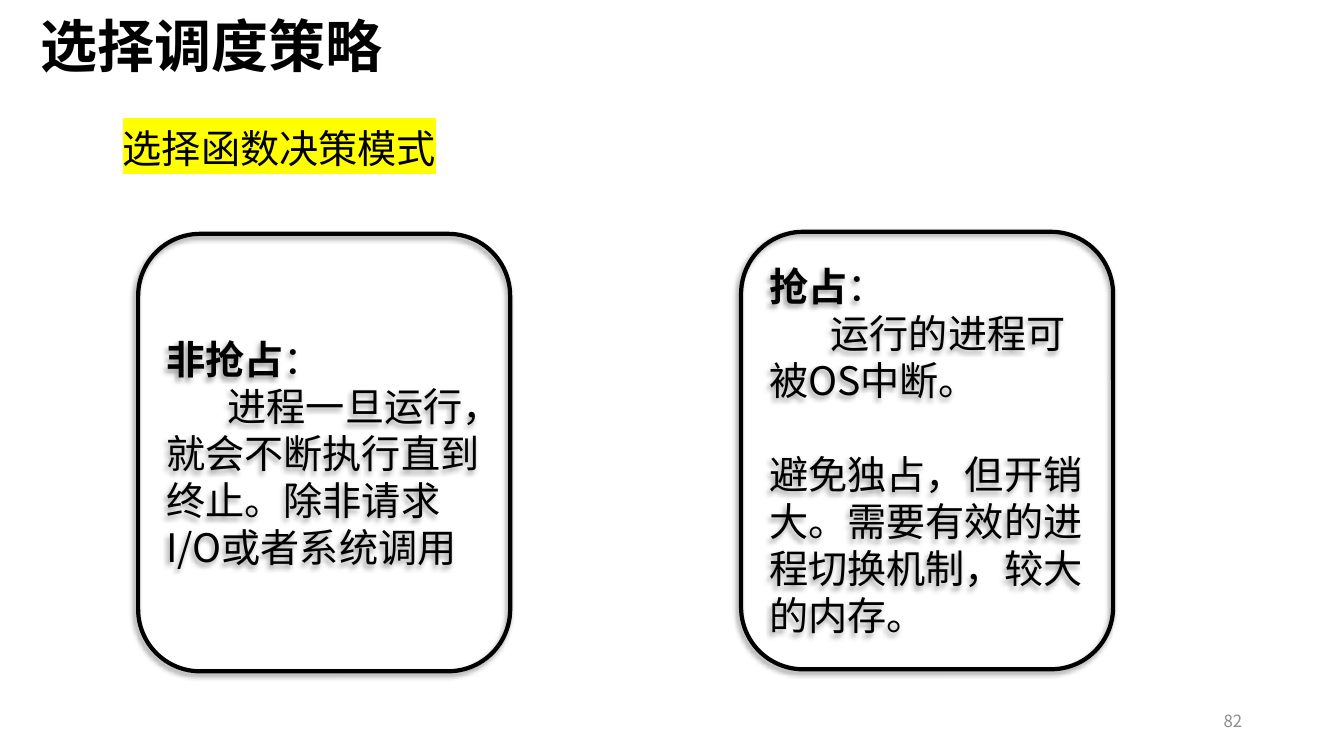
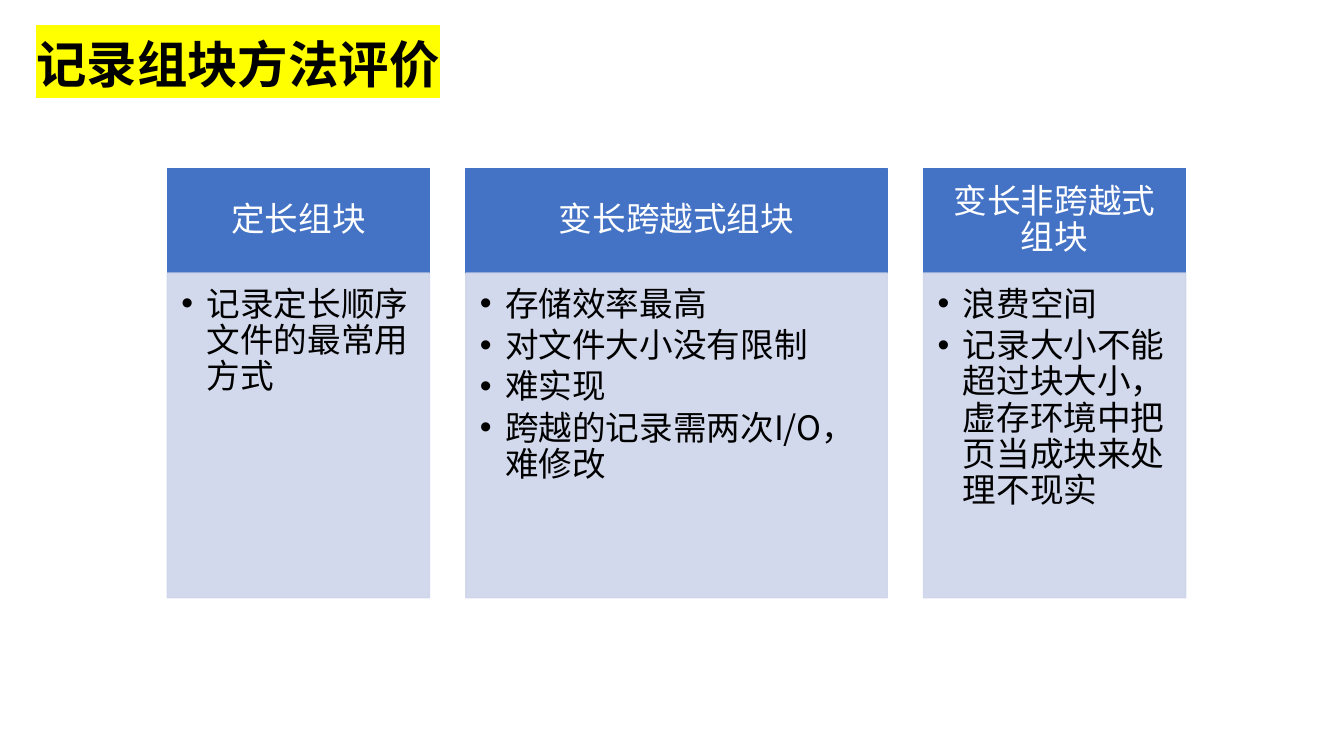
from lxml import etree
from pptx import Presentation
from pptx.dml.color import RGBColor
from pptx.enum.shapes import MSO_SHAPE
from pptx.enum.text import MSO_ANCHOR, MSO_AUTO_SIZE, PP_ALIGN
from pptx.oxml.ns import qn
from pptx.util import Inches, Pt

RECTANGLE = MSO_SHAPE.RECTANGLE
ROUNDED = MSO_SHAPE.ROUNDED_RECTANGLE
LEFT, CENTER, RIGHT = PP_ALIGN.LEFT, PP_ALIGN.CENTER, PP_ALIGN.RIGHT
TOP, MIDDLE = MSO_ANCHOR.TOP, MSO_ANCHOR.MIDDLE
NO_AUTOFIT = MSO_AUTO_SIZE.NONE

FONT = "Noto Sans CJK SC"
COLORS = {
    "text": "000000",
    "white": "FFFFFF",
    "number": "8C8C8C",
    "marker": "FFFF00",
    "header": "4472C4",
    "panel": "CFD5EA",
}
TITLE_ONLY = 5
TIGHT = 0.9
MODE_SIZE = 28
CARD_SIZE = 24
CARD_LEFT, CARD_TOP, CARD_GAP = 1.66, 1.67, 0.36
HEADER_HEIGHT, PANEL_HEIGHT = 1.04, 3.22
HEADER_INSETS = (0.19, 0.11, 0.19, 0.11)
PANEL_INSETS = (0.14, 0.14, 0.19, 0.21)
MODE_TEXTS = [
    (1.37, 2.32, "非抢占", ["进程一旦运行，就会不断执行直到终止。除非请求I/O或者系统调用"]),
    (7.35, 2.3, "抢占", ["运行的进程可被OS中断。",
                        "避免独占，但开销大。需要有效的进程切换机制，较大的内存。"]),
]
CARDS = [
    (2.6, "定长组块", ["记录定长顺序文件的最常用方式"]),
    (4.18, "变长跨越式组块", ["存储效率最高", "对文件大小没有限制", "难实现",
                         "跨越的记录需两次I/O，难修改"]),
    (2.6, "变长非跨越式组块", ["浪费空间", "记录大小不能超过块大小，虚存环境中把页当成块来处理不现实"]),
]


def rgb(name):
    return RGBColor.from_string(COLORS[name])


def add_run(paragraph, text, size, color="text", bold=False, marked=False):
    run = paragraph.add_run()
    run.text = text
    font = run.font
    font.size = Pt(size)
    font.bold = bold
    font.color.rgb = rgb(color)
    font.name = FONT
    latin = font._element.find(qn("a:latin"))
    east_asian = etree.Element(qn("a:ea"), typeface=FONT)
    latin.addnext(east_asian)
    if marked:
        highlight = etree.Element(qn("a:highlight"))
        etree.SubElement(highlight, qn("a:srgbClr"), val=COLORS["marker"])
        latin.addprevious(highlight)


def format_frame(shape, anchor, insets=(0.1, 0.05, 0.1, 0.05)):
    frame = shape.text_frame
    frame.word_wrap = True
    frame.auto_size = NO_AUTOFIT
    frame.vertical_anchor = anchor
    frame.margin_left, frame.margin_top, frame.margin_right, frame.margin_bottom = map(Inches, insets)
    return frame


def next_paragraph(frame, alignment=LEFT, spacing=1.0):
    first = frame.paragraphs[0]
    paragraph = frame.add_paragraph() if first.runs else first
    paragraph.alignment = alignment
    paragraph.line_spacing = spacing
    return paragraph


def place(shape, left, top, width, height):
    shape.left, shape.top, shape.width, shape.height = map(Inches, (left, top, width, height))


def add_titled_slide(presentation, text, box, size, anchor, marked=False):
    slide = presentation.slides.add_slide(presentation.slide_layouts[TITLE_ONLY])
    title = slide.shapes.title
    place(title, *box)
    frame = format_frame(title, anchor)
    add_run(next_paragraph(frame, spacing=TIGHT), text, size, bold=True, marked=marked)
    return slide


def add_label(slide, text, box, size, color="text", alignment=LEFT, anchor=TOP, marked=False):
    label = slide.shapes.add_textbox(*map(Inches, box))
    frame = format_frame(label, anchor)
    add_run(next_paragraph(frame, alignment), text, size, color, marked=marked)


def add_shadow(shape):
    effects = shape._element.spPr.find(qn("a:effectLst"))
    shadow = etree.SubElement(effects, qn("a:outerShdw"), blurRad=str(Pt(4)), dist=str(Pt(3)),
                              dir="8100000", algn="tr", rotWithShape="0")
    color = etree.SubElement(shadow, qn("a:srgbClr"), val=COLORS["text"])
    etree.SubElement(color, qn("a:alpha"), val="40000")


def add_mode_box(slide, left, top, heading, sentences):
    box = slide.shapes.add_shape(ROUNDED, Inches(left), Inches(top), Inches(3.69), Inches(4.34))
    box.fill.background()
    box.line.color.rgb = rgb("text")
    box.line.width = Pt(3)
    box.shadow.inherit = False
    add_shadow(box)
    frame = format_frame(box, MIDDLE)
    paragraph = next_paragraph(frame)
    add_run(paragraph, heading, MODE_SIZE, bold=True)
    add_run(paragraph, "：", MODE_SIZE)
    for index, sentence in enumerate(sentences):
        paragraph = next_paragraph(frame)
        if index == 0:
            paragraph._p.get_or_add_pPr().set("indent", str(Inches(0.61)))
        else:
            paragraph.space_before = Pt(33.6)
        add_run(paragraph, sentence, MODE_SIZE)


def add_block(slide, box, color, opacity=100):
    block = slide.shapes.add_shape(RECTANGLE, *map(Inches, box))
    block.shadow.inherit = False
    block.fill.solid()
    block.fill.fore_color.rgb = rgb(color)
    block.line.color.rgb = rgb(color)
    block.line.width = Pt(1)
    if opacity < 100:
        for element in block._element.spPr.iter(qn("a:srgbClr")):
            etree.SubElement(element, qn("a:alpha"), val=str(opacity * 1000))
    return block


def add_bullet(paragraph):
    properties = paragraph._p.get_or_add_pPr()
    properties.set("marL", str(Inches(0.25)))
    properties.set("indent", str(Inches(-0.25)))
    etree.SubElement(properties, qn("a:buFont"), typeface="Arial")
    etree.SubElement(properties, qn("a:buChar"), char="•")


def add_card(slide, left, width, heading, items):
    header = add_block(slide, (left, CARD_TOP, width, HEADER_HEIGHT), "header")
    frame = format_frame(header, MIDDLE, HEADER_INSETS)
    add_run(next_paragraph(frame, CENTER, TIGHT), heading, CARD_SIZE, "white")

    panel = add_block(slide, (left, CARD_TOP + HEADER_HEIGHT, width, PANEL_HEIGHT), "panel", 90)
    frame = format_frame(panel, TOP, PANEL_INSETS)
    for item in items:
        paragraph = next_paragraph(frame, spacing=TIGHT)
        add_bullet(paragraph)
        paragraph.space_after = Pt(3.6)
        add_run(paragraph, item, CARD_SIZE)


def build_scheduling_slide(presentation):
    slide = add_titled_slide(presentation, "选择调度策略", (0.3, 0.13, 3.77, 0.9), 40.7, TOP)
    add_label(slide, "选择函数决策模式", (1.12, 1.18, 3.36, 0.57), MODE_SIZE, marked=True)
    for mode in MODE_TEXTS:
        add_mode_box(slide, *mode)
    add_label(slide, "82", (9.42, 6.95, 3, 0.4), 12, "number", RIGHT, MIDDLE)


def build_blocking_slide(presentation):
    slide = add_titled_slide(presentation, "记录组块方法评价", (0.26, 0.14, 6.24, 1.05), 36,
                             MIDDLE, marked=True)
    left = CARD_LEFT
    for width, heading, items in CARDS:
        add_card(slide, left, width, heading, items)
        left += width + CARD_GAP


def main():
    presentation = Presentation()
    presentation.slide_width = Inches(13.33)
    presentation.slide_height = Inches(7.5)
    build_scheduling_slide(presentation)
    build_blocking_slide(presentation)
    presentation.save("out.pptx")


if __name__ == "__main__":
    main()
